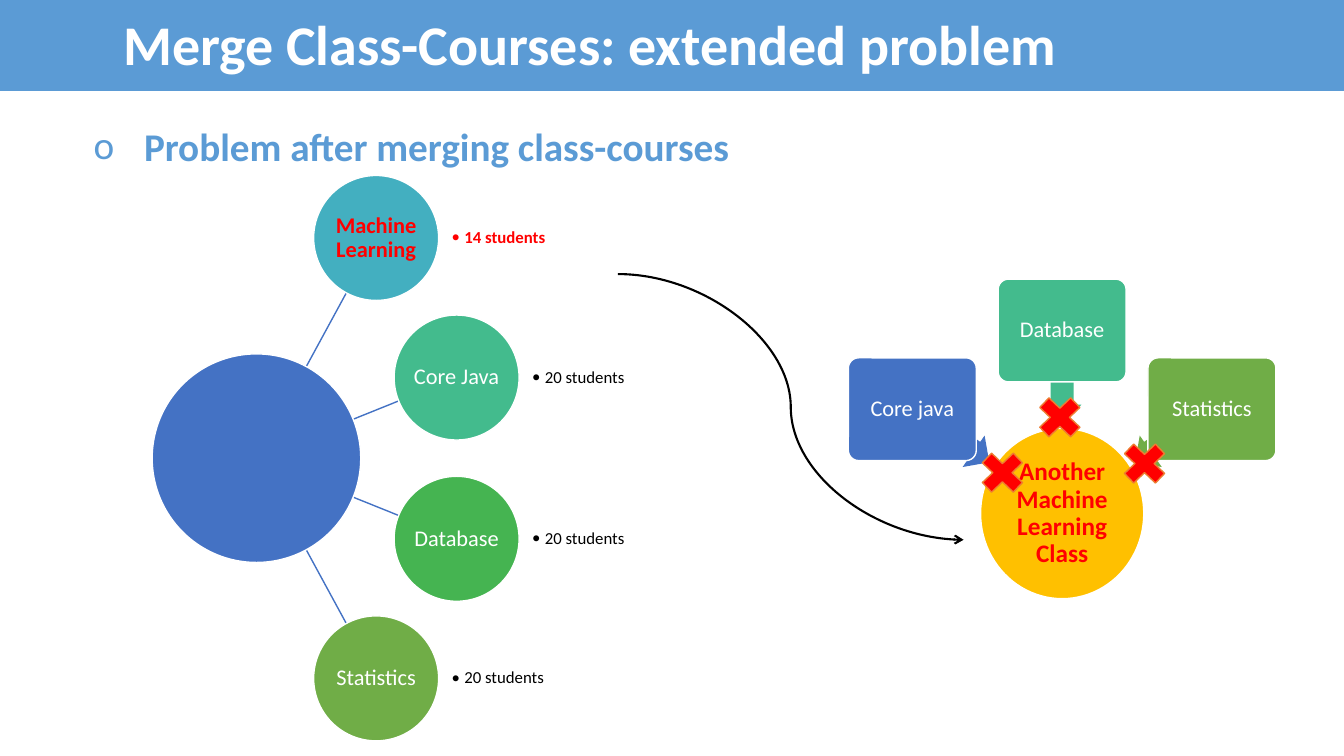
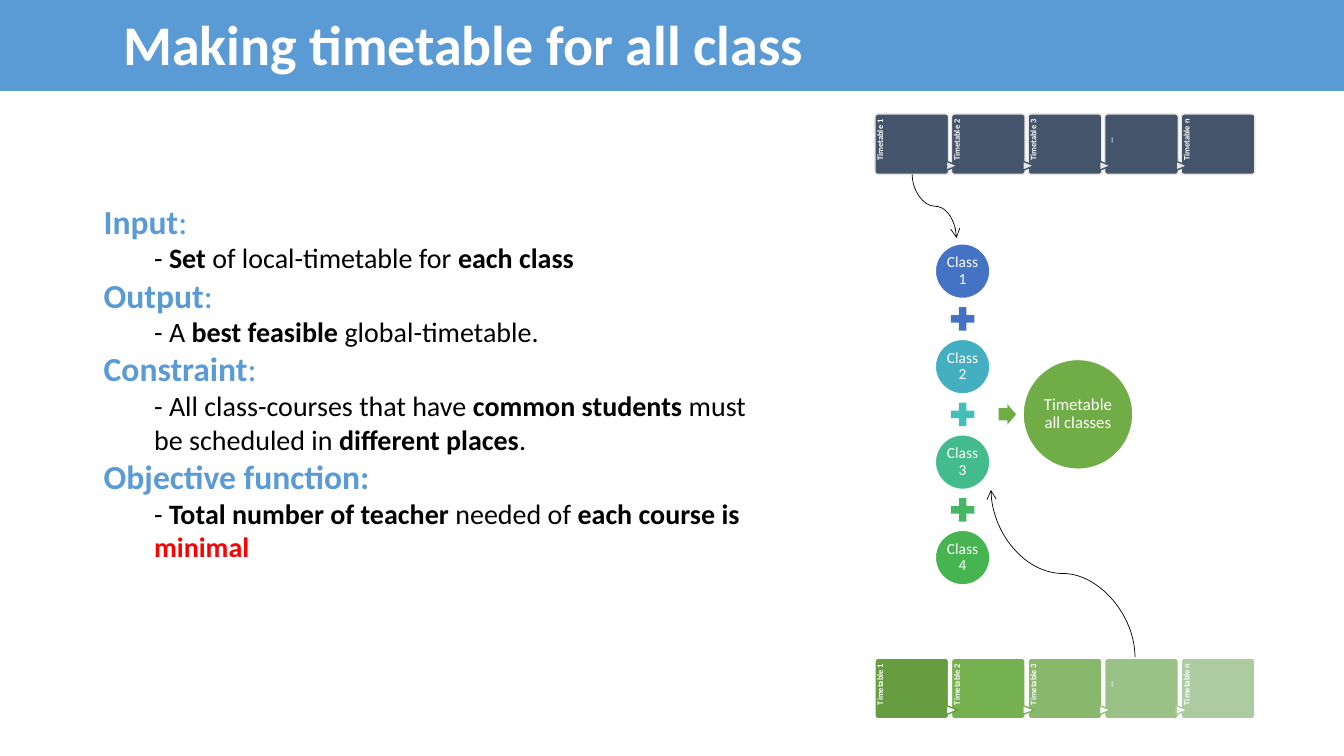
from dataclasses import dataclass
from typing import NamedTuple, Optional, Sequence, Union

from lxml import etree
from pptx import Presentation
from pptx import util as u
from pptx.dml import color as dml
from pptx.enum import shapes, text
from pptx.oxml import ns

Kind = shapes.MSO_SHAPE
Align = text.PP_ALIGN
Anchor = text.MSO_ANCHOR


@dataclass(frozen=True)
class Theme:
    font: str = "Calibri"
    # Colours
    band: str = "5B9BD5"
    white: str = "FFFFFF"
    black: str = "000000"
    alert: str = "FF0000"
    blue: str = "4472C4"
    cyan: str = "43AFC0"
    teal: str = "43BB8D"
    emerald: str = "45B451"
    green: str = "70AD47"
    gold: str = "FFC000"
    orange: str = "ED7D31"
    slate: str = "44546A"
    pale: str = "E7E6E6"
    # Type sizes
    title: float = 40
    heading: float = 28
    topic: float = 24
    body: float = 20
    target: float = 18
    node: float = 16
    note: float = 12
    small: float = 11
    tiny: float = 6


THEME = Theme()


class Area(NamedTuple):
    left: float
    top: float
    width: float
    height: float


class Span(NamedTuple):
    text: str
    bold: bool = False
    color: Optional[str] = None


class Course(NamedTuple):
    name: str
    students: str
    fill: str
    dx: float
    dy: float
    changed: bool = False


class Source(NamedTuple):
    name: str
    fill: str
    column: int
    top: float
    arrow_y: float
    turn: float


class Strip(NamedTuple):
    top: float
    fills: Sequence[str]
    edge: str
    marks: Sequence[str]


# ---- Drawing helpers ----

def rgb(value: str) -> dml.RGBColor:
    return dml.RGBColor.from_string(value)


def centred(x: float, y: float, width: float, height: float) -> Area:
    return Area(x - width / 2, y - height / 2, width, height)


def write(box, content: Union[str, Sequence[Span]], *, size: float, color: str = THEME.white,
          bold: bool = False, align=Align.CENTER, anchor=Anchor.MIDDLE,
          inset: Sequence[float] = (1, 1, 1, 1), spacing: Optional[float] = 0.9,
          indent: float = 0, hang: float = 0, bullet: str = "") -> None:
    """Write one paragraph; a frame that already has text gets a new one."""
    frame = box.text_frame
    frame.word_wrap = True
    frame.vertical_anchor = anchor
    (frame.margin_left, frame.margin_top,
     frame.margin_right, frame.margin_bottom) = map(u.Pt, inset)
    para = frame.add_paragraph() if frame.text else frame.paragraphs[0]
    para.alignment = align
    if spacing:
        para.line_spacing = spacing
    props = para._p.get_or_add_pPr()
    props.set("marL", str(u.Pt(indent)))
    props.set("indent", str(u.Pt(-hang)))
    if bullet:
        etree.SubElement(props, ns.qn("a:buFont")).set("typeface", THEME.font)
        etree.SubElement(props, ns.qn("a:buChar")).set("char", bullet)
    spans = [Span(content, bold)] if isinstance(content, str) else content
    for span in spans:
        run = para.add_run()
        run.text = span.text
        run.font.name = THEME.font
        run.font.size = u.Pt(size)
        run.font.bold = span.bold
        run.font.color.rgb = rgb(span.color or color)


def add_box(page, kind, area: Area, fill: str, *, line: Optional[str] = None,
            turn: float = 0, adjust: Sequence[float] = ()):
    box = page.shapes.add_shape(kind, *map(u.Pt, area))
    box.shadow.inherit = False
    box.fill.solid()
    box.fill.fore_color.rgb = rgb(fill)
    if line:
        box.line.color.rgb = rgb(line)
        box.line.width = u.Pt(1)
    else:
        box.line.fill.background()
    for index, value in enumerate(adjust):
        box.adjustments[index] = value
    box.rotation = turn
    return box


def add_label(page, area: Area):
    return page.shapes.add_textbox(*map(u.Pt, area))


def add_line(page, start: tuple, end: tuple, *, color: str = THEME.black, width: float = 1,
             curved: bool = False, vertical: bool = False, arrow: bool = False) -> None:
    """A vertical curve leaves its start upright: it is a flat one turned by 270 degrees."""
    if vertical:
        mid_x, mid_y = (start[0] + end[0]) / 2, (start[1] + end[1]) / 2
        start, end = ((mid_x - y + mid_y, mid_y + x - mid_x) for x, y in (start, end))
    kind = shapes.MSO_CONNECTOR.CURVE if curved else shapes.MSO_CONNECTOR.STRAIGHT
    link = page.shapes.add_connector(kind, *map(u.Pt, (*start, *end)))
    link.line.color.rgb = rgb(color)
    link.line.width = u.Pt(width)
    props = link._element.spPr
    if vertical:
        props.find(ns.qn("a:xfrm")).set("rot", str(270 * 60000))
    if arrow:
        etree.SubElement(props.find(ns.qn("a:ln")), ns.qn("a:tailEnd")).set("type", "arrow")
    etree.SubElement(props, ns.qn("a:effectLst"))


def add_page(deck, title: str):
    page = deck.slides.add_slide(deck.slide_layouts[6])
    band = add_box(page, Kind.RECTANGLE, Area(0, 0, 960, 65), THEME.band)
    write(band, title, size=THEME.title, bold=True, align=Align.LEFT,
          inset=(88, 0, 0, 3), spacing=None)
    return page


# ---- Slide 1: merged courses ----

COURSES = (
    Course("Machine Learning", "14 students", THEME.cyan, 85.5, -157.3, True),
    Course("Core Java", "20 students", THEME.teal, 143, -57.6),
    Course("Database", "20 students", THEME.emerald, 143, 57.6),
    Course("Statistics", "20 students", THEME.green, 85.5, 157.3),
)
SOURCES = (
    Source("Core java", THEME.blue, -1, 255.6, 311, 215),
    Source("Database", THEME.teal, 0, 199.4, 269.3, 270),
    Source("Statistics", THEME.green, 1, 255.6, 311, 325),
)
CROSSES = ((694.8, 317.5), (735.8, 278), (796.3, 311))


def draw_courses(page) -> None:
    hub_x, hub_y, diameter = 183.2, 327.3, 89.3
    for course in COURSES:
        add_line(page, (hub_x, hub_y), (hub_x + course.dx, hub_y + course.dy), color=THEME.blue)
    add_box(page, Kind.OVAL, centred(hub_x, hub_y, 149, 149), THEME.blue, line=THEME.white)
    for course in COURSES:
        area = centred(hub_x + course.dx, hub_y + course.dy, diameter, diameter)
        circle = add_box(page, Kind.OVAL, area, course.fill, line=THEME.white)
        write(circle, course.name, size=THEME.node, bold=course.changed,
              color=THEME.alert if course.changed else THEME.white)
        note = add_label(page, Area(area.left + diameter + 9.3, area.top, 134, diameter))
        write(note, course.students, size=THEME.note, bold=course.changed,
              color=THEME.alert if course.changed else THEME.black, align=Align.LEFT,
              inset=(0, 0, 0, 0), indent=9, hang=9, bullet="•")


def draw_rejected_merge(page) -> None:
    middle = 758.7
    target = add_box(page, Kind.OVAL, centred(middle, 366.8, 116.6, 121.7),
                     THEME.gold, line=THEME.white)
    write(target, "Another Machine Learning Class", size=THEME.target,
          color=THEME.alert, bold=True)
    for source in SOURCES:
        arrow = centred(middle + 79.5 * source.column, source.arrow_y, 67, 27.4)
        add_box(page, Kind.LEFT_ARROW, arrow, source.fill, turn=source.turn, adjust=(0.6, 0.5))
        area = Area(middle + 107 * source.column - 45.7, source.top, 91.4, 73.4)
        card = add_box(page, Kind.ROUNDED_RECTANGLE, area, source.fill,
                       line=THEME.white, adjust=(0.1,))
        write(card, source.name, size=THEME.node)
    add_line(page, (441.4, 195.8), (688.3, 385.6), width=1.5, curved=True, arrow=True)
    for left, top in CROSSES:
        add_box(page, Kind.MATH_MULTIPLY, Area(left, top, 42.5, 40.3),
                THEME.alert, line=THEME.orange)


def build_problem(deck) -> None:
    page = add_page(deck, "Merge Class-Courses: extended problem")
    heading = add_label(page, Area(59.8, 84.2, 490, 41))
    write(heading, "Problem after merging class-courses", size=THEME.heading, bold=True,
          color=THEME.band, align=Align.LEFT, anchor=Anchor.TOP, inset=(7.2, 3.6, 7.2, 3.6),
          spacing=None, indent=36, hang=36, bullet="o")
    draw_courses(page)
    draw_rejected_merge(page)


# ---- Slide 2: timetable for all classes ----

TOPICS = (
    ((Span("Input", True), Span(":")),
     (Span("- "), Span("Set ", True), Span("of local-timetable for "), Span("each class", True))),
    ((Span("Output", True), Span(":")),
     (Span("- A "), Span("best feasible", True), Span(" global-timetable."))),
    ((Span("Constraint", True), Span(":")),
     (Span("- All class-courses that have "), Span("common students", True),
      Span(" must be scheduled in "), Span("different places", True), Span("."))),
    ((Span("Objective function:", True),),
     (Span("- "), Span("Total number of teacher", True), Span(" needed of "),
      Span("each course is ", True), Span("minimal", True, THEME.alert))),
)
CLASS_FILLS = (THEME.blue, THEME.cyan, THEME.teal, THEME.emerald)
PLUS_FILLS = (THEME.blue, "43BEB9", "45B664")
TIMETABLES = ("Timetable 1", "Timetable 2", "Timetable 3", "…", "Timetable n")
STRIPS = (
    Strip(81.4, (THEME.slate,) * 5, THEME.pale, (THEME.slate,) * 4),
    Strip(470.2, ("669D40", "75B14F", "87B86B", "9AC186", "ADCBA0"), THEME.white,
          ("669D40", "7BB459", "94BE7D", "ADCBA0")),
)


def draw_topics(page) -> None:
    box = add_label(page, Area(67, 139.7, 490, 291))
    for topic, detail in TOPICS:
        for spans, size, color, indent in ((topic, THEME.topic, THEME.band, 0),
                                           (detail, THEME.body, THEME.black, 36)):
            write(box, spans, size=size, color=color, indent=indent, align=Align.LEFT,
                  anchor=Anchor.TOP, inset=(7.2, 3.6, 7.2, 3.6), spacing=None)


def draw_class_sum(page) -> None:
    middle, first, step = 687.6, 193.7, 68.2
    for index, fill in enumerate(CLASS_FILLS):
        circle = add_box(page, Kind.OVAL, centred(middle, first + step * index, 39, 39),
                         fill, line=THEME.white)
        write(circle, f"Class {index + 1}", size=THEME.small)
    for index, fill in enumerate(PLUS_FILLS):
        add_box(page, Kind.MATH_PLUS, centred(middle, first + step * (index + 0.5), 23, 23), fill)
    centre = first + step * 1.5
    add_box(page, Kind.RIGHT_ARROW, centred(719.6, centre, 12.4, 14.5),
            THEME.green, adjust=(0.6, 0.5))
    total = add_box(page, Kind.OVAL, centred(770, centre, 78.4, 78.4),
                    THEME.green, line=THEME.white)
    write(total, "Timetable all classes", size=THEME.note)


def draw_strip(page, strip: Strip) -> None:
    for index, (name, fill) in enumerate(zip(TIMETABLES, strip.fills)):
        left = 625 + 54.7 * index
        add_box(page, Kind.ROUNDED_RECTANGLE, Area(left, strip.top, 52.6, 43.2), fill,
                line=strip.edge, adjust=(0.05,))
        label = add_label(page, centred(left + 4.7, strip.top + 17.6, 35.3, 10.8))
        label.rotation = 270
        write(label, name, size=THEME.tiny, bold=True, anchor=Anchor.TOP, inset=(0, 1.4, 2.2, 0))
        if index:
            add_box(page, Kind.FLOWCHART_EXTRACT, centred(left + 0.3, strip.top + 37, 6.5, 7.9),
                    strip.edge, line=strip.marks[index - 1], turn=90)


def build_timetable(deck) -> None:
    page = add_page(deck, "Making timetable for all class")
    draw_topics(page)
    draw_class_sum(page)
    for strip in STRIPS:
        draw_strip(page, strip)
    for start, end in (((651.6, 124.6), (683.3, 170)), ((810.7, 469.4), (707.8, 350))):
        add_line(page, start, end, width=0.5, curved=True, vertical=True, arrow=True)


def main() -> None:
    deck = Presentation()
    deck.slide_width, deck.slide_height = u.Pt(960), u.Pt(540)
    build_problem(deck)
    build_timetable(deck)
    deck.save("out.pptx")


if __name__ == "__main__":
    main()
